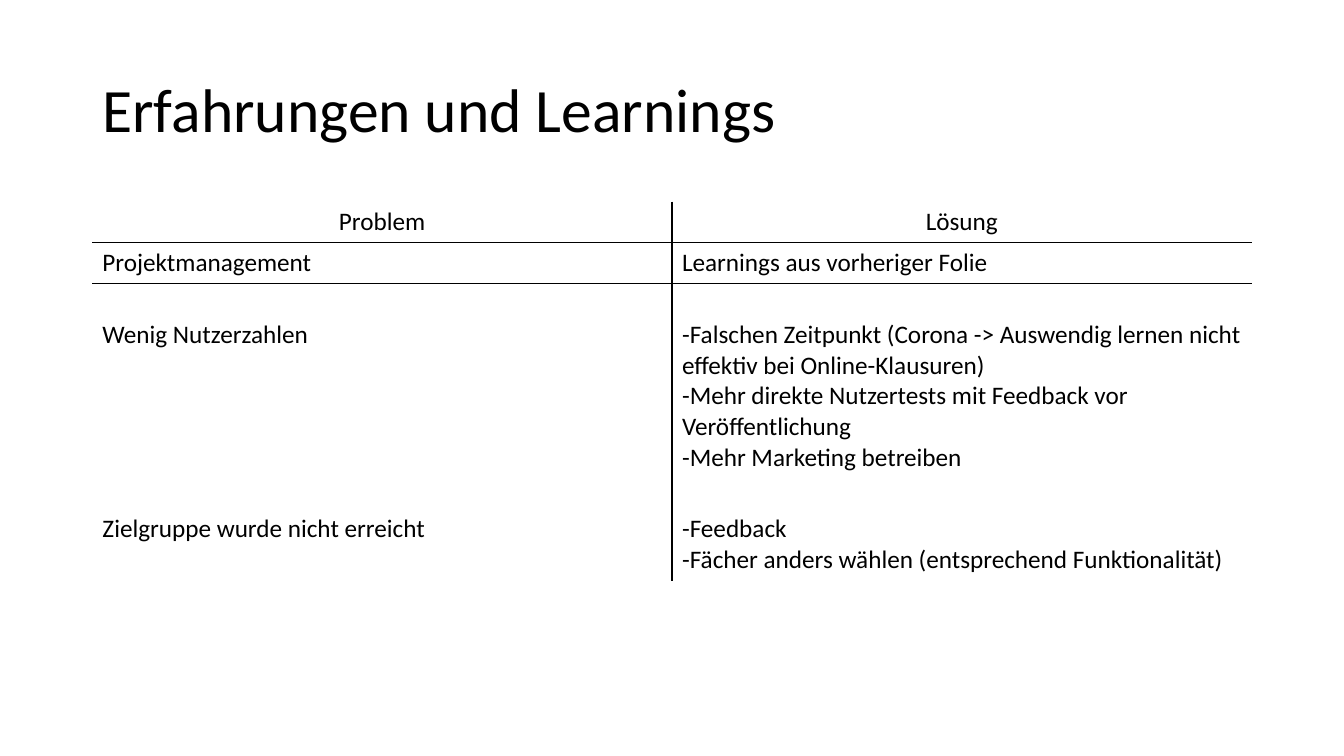
import dataclasses

import pptx
import pptx.dml.color
import pptx.enum.text
import pptx.oxml
import pptx.oxml.ns
import pptx.util

Align = pptx.enum.text.PP_ALIGN
Anchor = pptx.enum.text.MSO_ANCHOR


@dataclasses.dataclass(frozen=True)
class Theme:
    ink: str = "000000"
    font: str = "Calibri"
    title: int = 44
    body: int = 18
    rule: int = 1


@dataclasses.dataclass(frozen=True)
class Row:
    problem: str
    answer: str
    height: int
    top: int = 5
    align: Align = Align.LEFT
    ruled: bool = False


THEME = Theme()
ROWS = [
    Row("Problem", "Lösung", 39, align=Align.CENTER, ruled=True),
    Row("Projektmanagement", "Learnings aus vorheriger Folie", 39, ruled=True),
    Row(
        "Wenig Nutzerzahlen",
        "-Falschen Zeitpunkt (Corona -> Auswendig lernen nicht effektiv bei Online-Klausuren)\n"
        "-Mehr direkte Nutzertests mit Feedback vor Veröffentlichung\n"
        "-Mehr Marketing betreiben",
        185,
        top=34,
    ),
    Row(
        "Zielgruppe wurde nicht erreicht",
        "-Feedback\n-Fächer anders wählen (entsprechend Funktionalität)",
        97,
        top=34,
    ),
]
LEFT, WIDTH = 88, 1104


def px(count: int) -> int:
    return pptx.util.Emu(count * 9525)


def write(frame, text: str, *, size: int, align: Align = Align.LEFT, space: float = 1.0) -> None:
    frame.text = text
    frame.word_wrap = True
    for para in frame.paragraphs:
        para.alignment = align
        para.line_spacing = space
        for run in para.runs:
            run.font.name = THEME.font
            run.font.size = pptx.util.Pt(size)
            run.font.color.rgb = pptx.dml.color.RGBColor.from_string(THEME.ink)


def border(cell, sides: str) -> None:
    props = cell._tc.get_or_add_tcPr()
    for side in "LRTB":
        paint = "<a:noFill/>"
        if side in sides:
            paint = f'<a:solidFill><a:srgbClr val="{THEME.ink}"/></a:solidFill>'
        props.append(pptx.oxml.parse_xml(
            f'<a:ln{side} {pptx.oxml.ns.nsdecls("a")} w="{pptx.util.Pt(THEME.rule)}">'
            f"{paint}</a:ln{side}>"
        ))


def add_title(slide, text: str) -> None:
    title = slide.shapes.title
    title.left, title.top = px(LEFT), px(38)
    title.width, title.height = px(WIDTH), px(139)
    title.text_frame.auto_size = pptx.enum.text.MSO_AUTO_SIZE.NONE
    title.text_frame.vertical_anchor = Anchor.MIDDLE
    write(title.text_frame, text, size=THEME.title, space=0.9)


def add_grid(slide, rows: list[Row]) -> None:
    height = sum(row.height for row in rows)
    table = slide.shapes.add_table(
        len(rows), 2, px(LEFT), px(192), px(WIDTH), px(height)
    ).table
    table.first_row = table.horz_banding = False
    for index, row in enumerate(rows):
        table.rows[index].height = px(row.height)
        above = "T" if index and rows[index - 1].ruled else ""
        below = "B" if row.ruled else ""
        for col, (text, side) in enumerate([(row.problem, "R"), (row.answer, "L")]):
            cell = table.cell(index, col)
            write(cell.text_frame, text, size=THEME.body, align=row.align)
            cell.margin_top = px(row.top)
            border(cell, side + above + below)
            cell.fill.background()


def main() -> None:
    deck = pptx.Presentation()
    deck.slide_width, deck.slide_height = px(1280), px(720)
    slide = deck.slides.add_slide(deck.slide_layouts[5])
    add_title(slide, "Erfahrungen und Learnings")
    add_grid(slide, ROWS)
    deck.save("out.pptx")


if __name__ == "__main__":
    main()
